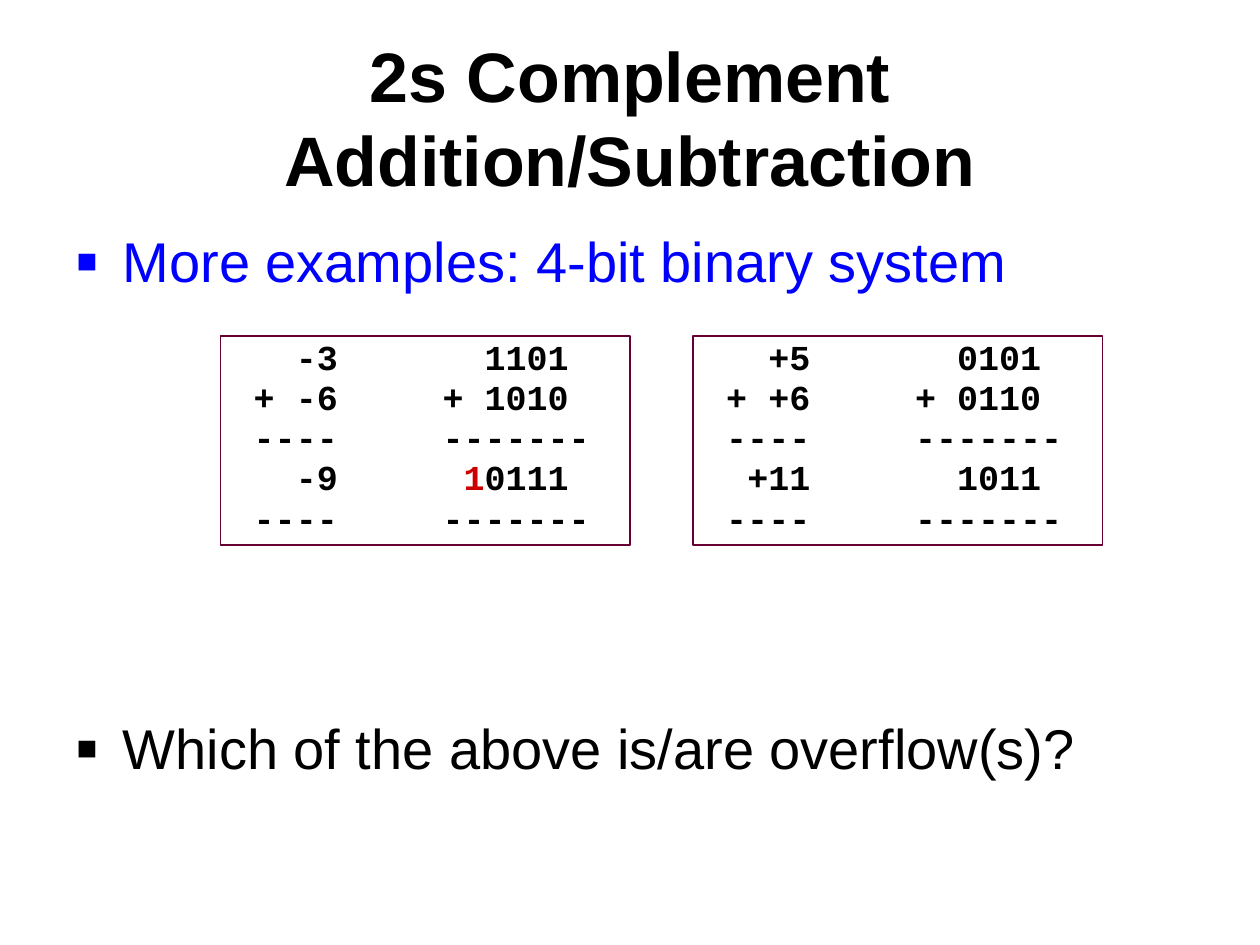
from lxml import etree
from pptx import Presentation
from pptx.dml.color import RGBColor
from pptx.enum import shapes, text
from pptx.oxml.ns import qn
from pptx.util import Pt

BLACK, BLUE, RED, PLUM = "000000", "0000FF", "CC0000", "660033"
NUMBER_STOPS = (60, 192)
RULE_STOPS = (60, 204)
RULE = ("----", "-------")


def colour(value):
    return RGBColor.from_string(value)


def add_run(paragraph, content, size=32, font="Arial", color=BLACK, bold=False):
    run = paragraph.add_run()
    run.text = content
    run.font.size = Pt(size)
    run.font.name = font
    run.font.bold = bold
    run.font.color.rgb = colour(color)


def next_paragraph(frame, index):
    return frame.add_paragraph() if index else frame.paragraphs[0]


def set_bullet(paragraph, color):
    properties = paragraph._p.get_or_add_pPr()
    properties.set("marL", str(Pt(27)))
    properties.set("indent", str(-Pt(27)))
    fill = etree.SubElement(properties, qn("a:buClr"))
    etree.SubElement(fill, qn("a:srgbClr"), val=color)
    etree.SubElement(properties, qn("a:buSzPct"), val="120000")
    etree.SubElement(properties, qn("a:buFont"), typeface="Arial")
    etree.SubElement(properties, qn("a:buChar"), char="▪")


def set_right_tabs(paragraph, stops):
    tabs = etree.SubElement(paragraph._p.get_or_add_pPr(), qn("a:tabLst"))
    for stop in stops:
        etree.SubElement(tabs, qn("a:tab"), pos=str(Pt(stop)), algn="r")


def set_title(slide, content):
    title = slide.shapes.title
    title.left, title.top, title.width, title.height = Pt(36), Pt(21.6), Pt(648), Pt(90)
    frame = title.text_frame
    frame.auto_size = text.MSO_AUTO_SIZE.NONE
    frame.vertical_anchor = text.MSO_ANCHOR.MIDDLE
    paragraph = frame.paragraphs[0]
    paragraph.alignment = text.PP_ALIGN.CENTER
    add_run(paragraph, content, size=40, bold=True)


def add_bullets(slide, items):
    shape = slide.shapes.add_textbox(Pt(36), Pt(126), Pt(648), Pt(356.4))
    frame = shape.text_frame
    frame.word_wrap = True
    for index, (content, color, space) in enumerate(items):
        paragraph = next_paragraph(frame, index)
        paragraph.space_before = Pt(space)
        set_bullet(paragraph, color)
        add_run(paragraph, content, color=color)


def add_sum(slide, left, first, second, result, carry=""):
    shape = slide.shapes.add_shape(
        shapes.MSO_SHAPE.RECTANGLE, Pt(left), Pt(192), Pt(234), Pt(119.5))
    shape.shadow.inherit = False
    shape.fill.background()
    shape.line.color.rgb = colour(PLUM)
    shape.line.width = Pt(1)
    frame = shape.text_frame
    frame.word_wrap = True
    frame.vertical_anchor = text.MSO_ANCHOR.TOP
    for index, row in enumerate((first, second, RULE, result, RULE)):
        decimal, binary = row
        paragraph = next_paragraph(frame, index)
        paragraph.alignment = text.PP_ALIGN.LEFT
        paragraph.line_spacing = 0.85
        paragraph.space_before = Pt(2.5)
        set_right_tabs(paragraph, RULE_STOPS if row == RULE else NUMBER_STOPS)
        style = {"size": 20, "font": "Courier New", "bold": True}
        add_run(paragraph, f"\t{decimal}\t", **style)
        if row == result and carry:
            add_run(paragraph, carry, color=RED, **style)
        add_run(paragraph, binary, **style)


def main():
    presentation = Presentation()
    presentation.slide_width, presentation.slide_height = Pt(720), Pt(540)
    slide = presentation.slides.add_slide(presentation.slide_layouts[5])
    set_title(slide, "2s Complement Addition/Subtraction")
    add_bullets(slide, [
        ("More examples: 4-bit binary system", BLUE, 8),
        ("Which of the above is/are overflow(s)?", BLACK, 240),
    ])
    add_sum(slide, 126, ("-3", "1101"), ("+ -6", "+ 1010"), ("-9", "0111"), carry="1")
    add_sum(slide, 396, ("+5", "0101"), ("+ +6", "+ 0110"), ("+11", "1011"))
    presentation.save("out.pptx")


main()
